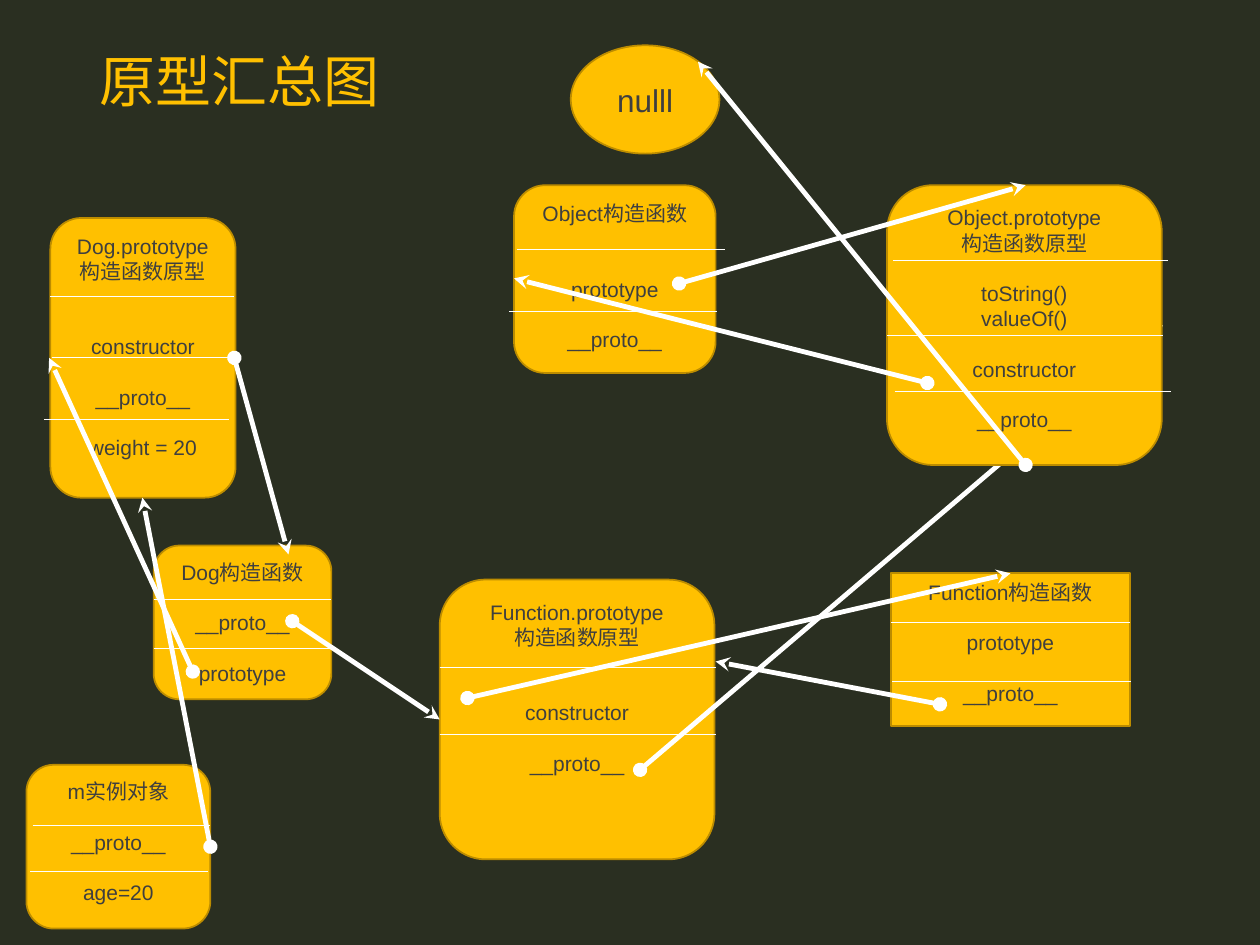
from lxml import etree
from pptx import Presentation
from pptx.dml.color import RGBColor
from pptx.enum.shapes import MSO_CONNECTOR, MSO_SHAPE as Shape
from pptx.enum.text import MSO_ANCHOR as Anchor, PP_ALIGN as Align
from pptx.oxml.ns import qn
from pptx.util import Inches, Pt

BACKGROUND = RGBColor(0x2A, 0x2F, 0x21)
GOLD = RGBColor(0xFF, 0xC0, 0x00)
DARK_GOLD = RGBColor(0xBC, 0x8C, 0x00)
GREY = RGBColor(0x3F, 0x3F, 0x3F)
WHITE = RGBColor(0xFF, 0xFF, 0xFF)
LATIN_FONT = "Arial"
CHINESE_FONT = "Noto Sans CJK SC"
LINE_PITCH = 14.4

# Each box: outline, (left, top, width, height), [(text, empty lines above)]
BACK_BOXES = [
    (Shape.ROUNDED_RECTANGLE, (1.22, 4.33, 1.41, 1.22),
     [("Dog构造函数", 0), ("__proto__", 1), ("prototype", 1)]),
    (Shape.RECTANGLE, (7.07, 4.55, 1.9, 1.21),
     [("Function构造函数", 0), ("prototype", 1), ("__proto__", 1)]),
    (Shape.ROUNDED_RECTANGLE, (3.49, 4.6, 2.18, 2.22),
     [("Function.prototype", 0), ("构造函数原型", 0),
      ("constructor", 2), ("__proto__", 1)]),
]
FRONT_BOXES = [
    (Shape.ROUNDED_RECTANGLE, (7.04, 1.47, 2.18, 2.22),
     [("Object.prototype", 0), ("构造函数原型", 0), ("toString()", 1),
      ("valueOf()", 0), ("constructor", 1), ("__proto__", 1)]),
    (Shape.ROUNDED_RECTANGLE, (0.4, 1.73, 1.47, 2.22),
     [("Dog.prototype", 0), ("构造函数原型", 0), ("constructor", 2),
      ("__proto__", 1), ("weight = 20", 1)]),
    (Shape.ROUNDED_RECTANGLE, (0.21, 6.07, 1.46, 1.3),
     [("m实例对象", 0), ("__proto__", 1), ("age=20", 1)]),
    (Shape.ROUNDED_RECTANGLE, (4.08, 1.47, 1.6, 1.49),
     [("Object构造函数", 0), ("prototype", 2), ("__proto__", 1)]),
]

# Dividers: left, right, y
DIVIDERS = [
    (3.49, 5.68, 5.3), (3.49, 5.68, 5.83),
    (7.07, 8.97, 4.94), (7.08, 8.98, 5.41),
    (1.22, 2.63, 4.76), (1.22, 2.63, 5.15),
    (7.09, 9.27, 2.07), (7.04, 9.23, 2.66), (7.1, 9.29, 3.11),
    (0.4, 1.86, 2.35), (0.41, 1.88, 2.84), (0.35, 1.82, 3.33),
    (0.26, 1.67, 6.55), (0.24, 1.65, 6.92),
    (4.1, 5.75, 1.98), (4.04, 5.69, 2.47),
]

# Arrows: start x, start y, end x, end y
FUNCTION_PROTO_ARROW = (5.08, 6.11, 9.23, 2.58)
ARROWS = [
    (2.32, 4.93, 3.49, 5.71),
    (3.71, 5.54, 8.02, 4.55),
    (7.46, 5.59, 5.68, 5.25),
    (1.86, 2.84, 2.29, 4.4),
    (8.14, 3.69, 5.54, 0.49),
    (5.39, 2.25, 8.14, 1.47),
    (1.53, 5.33, 0.39, 2.84),
    (1.67, 6.72, 1.13, 3.95),
    (7.36, 3.04, 4.08, 2.21),
]


def style_font(para, size, color, latin=LATIN_FONT):
    para.font.size = Pt(size)
    para.font.name = latin
    para.font.color.rgb = color
    for span in para.runs:
        east_asian = etree.SubElement(span._r.get_or_add_rPr(), qn("a:ea"))
        east_asian.set("typeface", CHINESE_FONT)


def add_title(page, text):
    title = page.shapes.title
    title.left, title.top = Inches(0.69), Inches(0.22)
    title.width, title.height = Inches(8.63), Inches(0.9)
    title.text_frame.text = text
    title.text_frame.vertical_anchor = Anchor.MIDDLE
    para = title.text_frame.paragraphs[0]
    para.alignment = Align.LEFT
    para.line_spacing = 0.9
    style_font(para, 32, GOLD, CHINESE_FONT)


def add_box(page, outline, place, lines, size=12, anchor=Anchor.TOP):
    box = page.shapes.add_shape(outline, *map(Inches, place))
    box.shadow.inherit = False
    box.fill.solid()
    box.fill.fore_color.rgb = GOLD
    box.line.color.rgb = DARK_GOLD
    box.line.width = Pt(1)
    frame = box.text_frame
    frame.word_wrap = True
    frame.vertical_anchor = anchor
    frame.text = "\n".join(text for text, _ in lines)
    for para, (_, gap) in zip(frame.paragraphs, lines):
        para.alignment = Align.CENTER
        para.line_spacing = Pt(LINE_PITCH * size / 12)
        para.space_before = Pt(LINE_PITCH * gap)
        style_font(para, size, GREY)


def add_line(page, x1, y1, x2, y2, width=0.5):
    line = page.shapes.add_connector(
        MSO_CONNECTOR.STRAIGHT, *map(Inches, (x1, y1, x2, y2)))
    line.line.color.rgb = WHITE
    line.line.width = Pt(width)
    etree.SubElement(line._element.spPr, qn("a:effectLst"))
    return line


def add_arrow(page, *ends):
    arrow = add_line(page, *ends, width=2.75)
    outline = arrow.line._get_or_add_ln()
    for tag, kind in (("a:headEnd", "oval"), ("a:tailEnd", "stealth")):
        etree.SubElement(outline, qn(tag)).set("type", kind)


def main():
    deck = Presentation()
    deck.slide_width, deck.slide_height = Inches(10), Inches(7.5)
    page = deck.slides.add_slide(deck.slide_layouts[5])
    page.background.fill.solid()
    page.background.fill.fore_color.rgb = BACKGROUND
    add_title(page, "原型汇总图")

    # Boxes, with one arrow passing behind Object.prototype
    for box in BACK_BOXES:
        add_box(page, *box)
    add_arrow(page, *FUNCTION_PROTO_ARROW)
    for box in FRONT_BOXES:
        add_box(page, *box)
    add_box(page, Shape.OVAL, (4.53, 0.36, 1.18, 0.86), [("nulll", 0)],
            size=18, anchor=Anchor.MIDDLE)

    # Dividers and prototype links
    for left, right, y in DIVIDERS:
        add_line(page, left, y, right, y)
    for arrow in ARROWS:
        add_arrow(page, *arrow)

    deck.save("out.pptx")


main()
